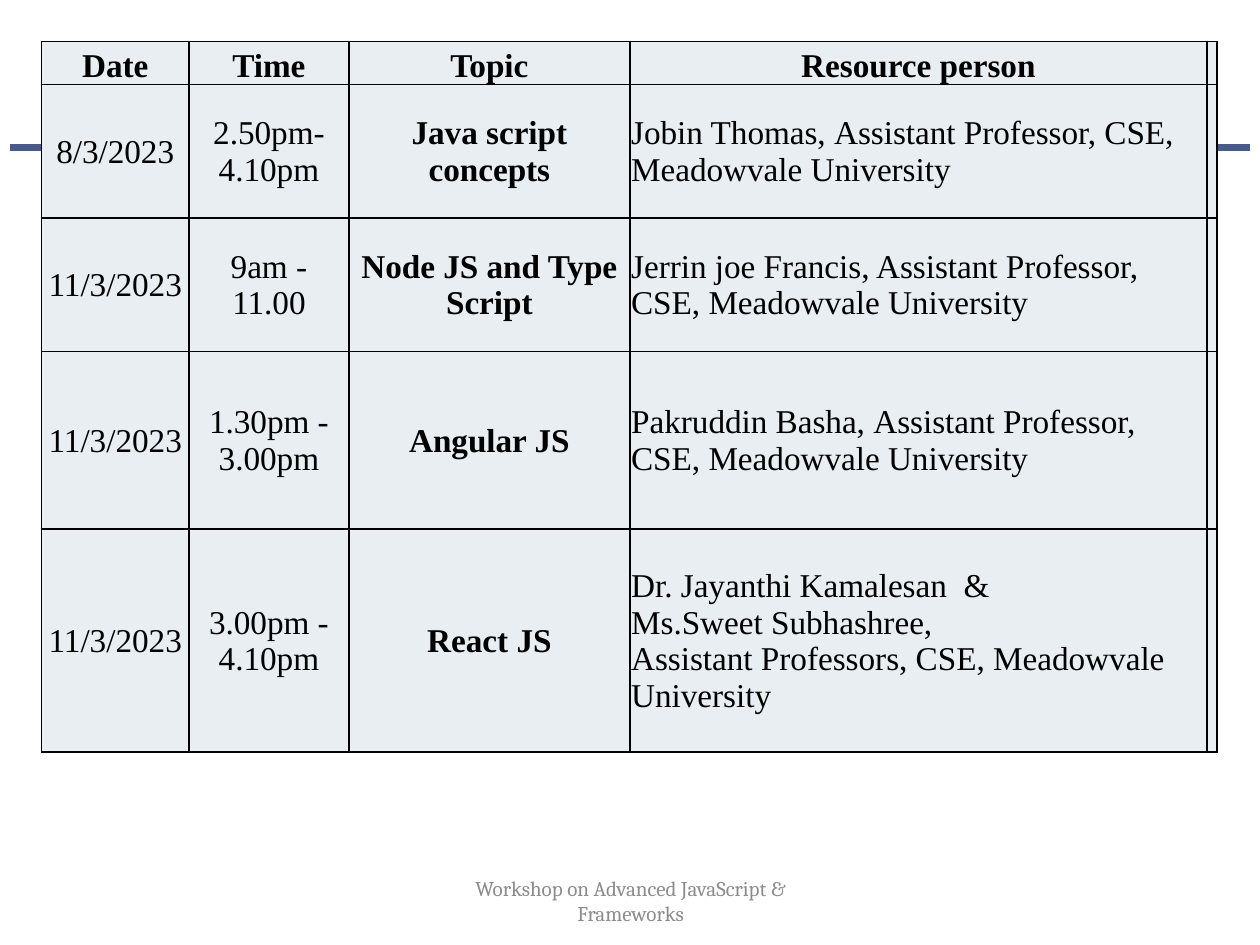
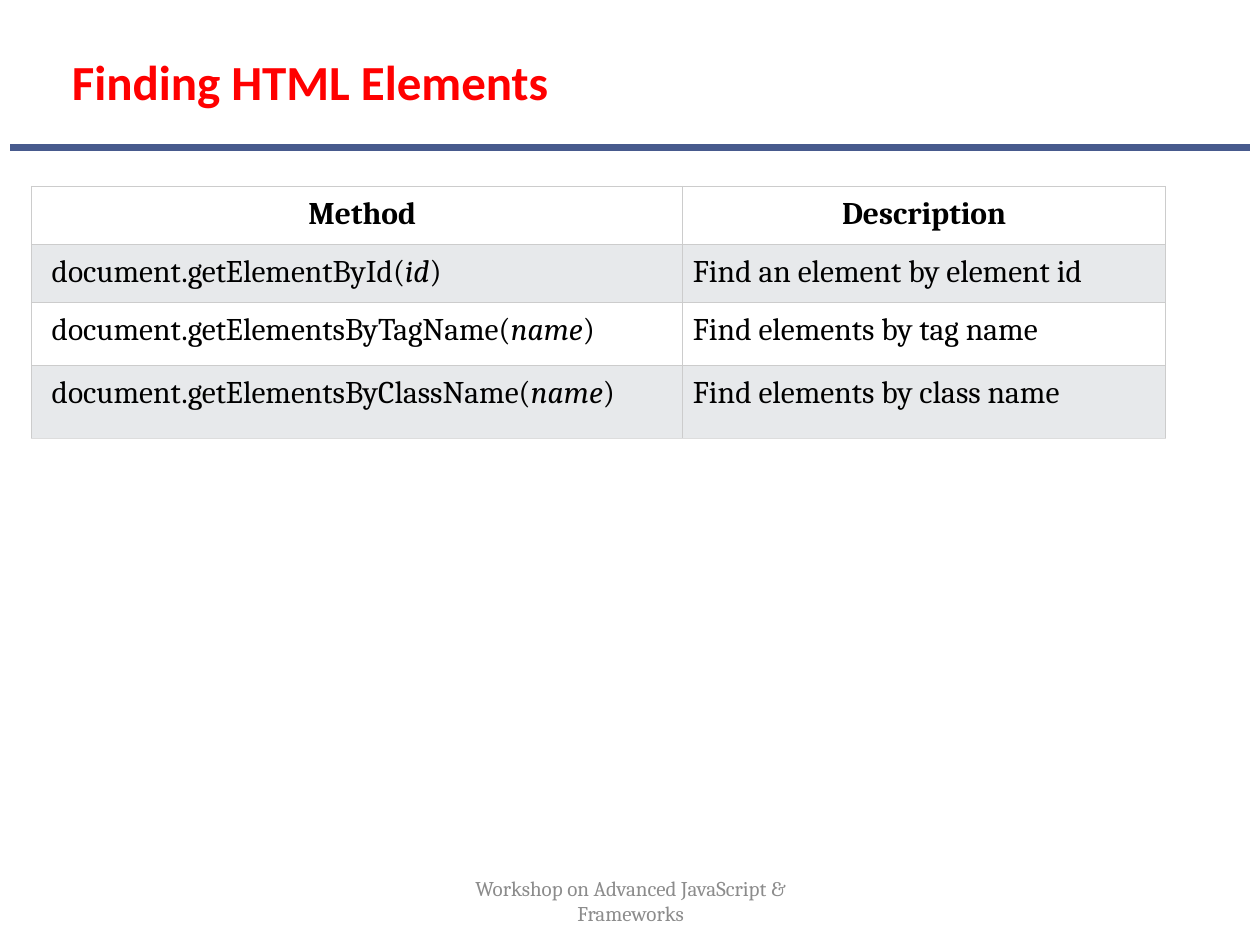
from dataclasses import dataclass

from lxml.etree import SubElement
from pptx import Presentation
from pptx.dml.color import RGBColor as Rgb
from pptx.enum.text import MSO_ANCHOR as Anchor, MSO_AUTO_SIZE as Fit, PP_ALIGN as Align
from pptx.oxml.ns import qn
from pptx.util import Inches, Pt

COLORS = {
    "ink": "000000", "rule": "475A8D", "title": "FF0000", "foot": "8C8C8C",
    "ice": "E8EEF1", "white": "FFFFFF", "band": "E7E9EB",
    "edge": "CCCCCC", "base": "DDDDDD",
}
FOOTER = "Workshop on Advanced JavaScript & Frameworks"
SCHOOL = "Meadowvale University"
STAFF = f"Assistant Professor, CSE, {SCHOOL}"


@dataclass
class Grid:
    """Place, sizes and look shared by all cells of one table."""
    left: float
    top: float
    cols: list[float]
    rows: list[float]
    font: str
    size: float
    fills: list[str]  # repeated down the rows
    edge: str
    base: str  # bottom edge of the last row
    width: float


def color(name: str) -> Rgb:
    return Rgb.from_string(COLORS[name])


def write(frame, text: str, *, font: str, size: float, ink: str = "ink",
          bold: bool = False, align=Align.LEFT) -> None:
    """Fill a frame; newlines split paragraphs and *stars* mark italics."""
    frame.word_wrap = True
    for i, line in enumerate(text.split("\n")):
        para = frame.paragraphs[0] if i == 0 else frame.add_paragraph()
        para.alignment = align
        for j, part in enumerate(line.split("*")):
            if not part:
                continue
            run = para.add_run()
            run.text = part
            face = run.font
            face.name, face.size, face.bold = font, Pt(size), bold
            face.italic = j % 2 == 1
            face.color.rgb = color(ink)


def border(cell, edge: str, base: str, width: float) -> None:
    props = cell._tc.get_or_add_tcPr()
    for side in "LRTB":
        line = SubElement(props, qn(f"a:ln{side}"), w=str(Pt(width)))
        fill = SubElement(line, qn("a:solidFill"))
        SubElement(fill, qn("a:srgbClr"), val=COLORS[base if side == "B" else edge])


def add_grid(slide, grid: Grid):
    """Draw the empty table and return it for its text."""
    table = slide.shapes.add_table(
        len(grid.rows), len(grid.cols), Inches(grid.left), Inches(grid.top),
        Inches(sum(grid.cols)), Inches(sum(grid.rows))).table
    table.first_row = table.horz_banding = False
    for col, width in zip(table.columns, grid.cols):
        col.width = Inches(width)
    for r, (row, height) in enumerate(zip(table.rows, grid.rows)):
        row.height = Inches(height)
        last = r == len(grid.rows) - 1
        for cell in row.cells:
            border(cell, grid.edge, grid.base if last else grid.edge, grid.width)
            cell.fill.solid()
            cell.fill.fore_color.rgb = color(grid.fills[r % len(grid.fills)])
    return table


def inset(cell, left: float, top: float, right: float, bottom: float) -> None:
    cell.margin_left, cell.margin_top = Inches(left), Inches(top)
    cell.margin_right, cell.margin_bottom = Inches(right), Inches(bottom)


def add_page(deck, layout: int):
    """New slide with the shared rule."""
    slide = deck.slides.add_slide(deck.slide_layouts[layout])
    rule = slide.shapes.add_connector(
        1, Inches(0.08), Inches(1.17), Inches(9.92), Inches(1.17))
    rule.line.color.rgb = color("rule")
    rule.line.width = Pt(4)
    SubElement(rule._element.spPr, qn("a:effectLst"))
    return slide


def add_foot(slide) -> None:
    box = slide.shapes.add_textbox(
        Inches(3.42), Inches(6.95), Inches(3.17), Inches(0.4))
    box.text_frame.vertical_anchor = Anchor.MIDDLE
    write(box.text_frame, FOOTER, font="Cambria", size=12, ink="foot",
          align=Align.CENTER)


def add_title(slide, text: str) -> None:
    title = slide.shapes.title
    title.left, title.top = Inches(0.47), Inches(0.15)
    title.width, title.height = Inches(9), Inches(0.78)
    frame = title.text_frame
    frame.auto_size = Fit.NONE
    frame.vertical_anchor = Anchor.BOTTOM
    write(frame, text, font="Calibri", size=28, ink="title", bold=True)


# Workshop schedule; the narrow last column is empty
PLAN = [
    ("Date", "Time", "Topic", "Resource person", ""),
    ("8/3/2023", "2.50pm- 4.10pm", "Java script concepts",
     f"Jobin Thomas,\u00a0{STAFF}", ""),
    ("11/3/2023", "9am - 11.00", "Node JS and Type Script",
     f"Jerrin joe Francis, {STAFF}", ""),
    ("11/3/2023", "1.30pm - 3.00pm", "Angular JS",
     f"Pakruddin Basha,\u00a0{STAFF}", ""),
    ("11/3/2023", "3.00pm - 4.10pm", "React JS",
     "Dr. Jayanthi Kamalesan \u00a0&\nMs.Sweet Subhashree,\n"
     f"Assistant Professors, CSE, {SCHOOL}", ""),
]
PLAN_GRID = Grid(0.33, 0.33, [1.17, 1.27, 2.23, 4.58, 0.08],
                 [0.34, 1.06, 1.06, 1.41, 1.77], "Times New Roman", 19,
                 ["ice"], "ink", "ink", 1)

# Lookup methods
FIND = [
    ("Method", "Description"),
    ("document.getElementById(*id*)", "Find an element by element id"),
    ("document.getElementsByTagName(*name*)", "Find elements by tag name"),
    ("document.getElementsByClassName(*name*)", "Find elements by class name"),
]
FIND_GRID = Grid(0.25, 1.48, [5.17, 3.83], [0.46, 0.46, 0.5, 0.58],
                 "Cambria", 18, ["white", "band"], "edge", "base", 0.75)


def add_plan(deck) -> None:
    slide = add_page(deck, 6)
    table = add_grid(slide, PLAN_GRID)
    for r, row in enumerate(PLAN):
        for c, text in enumerate(row):
            cell = table.cell(r, c)
            inset(cell, 0.01, 0.01, 0.01, 0)
            cell.vertical_anchor = Anchor.MIDDLE if r else Anchor.BOTTOM
            write(cell.text_frame, text, font=PLAN_GRID.font, size=PLAN_GRID.size,
                  bold=r == 0 or c == 2,
                  align=Align.LEFT if r and c == 3 else Align.CENTER)
    add_foot(slide)


def add_find(deck) -> None:
    slide = add_page(deck, 5)
    add_title(slide, "Finding HTML Elements")
    table = add_grid(slide, FIND_GRID)
    for r, row in enumerate(FIND):
        for c, text in enumerate(row):
            cell = table.cell(r, c)
            inset(cell, 0.08 if c else 0.16, 0.08, 0.08, 0.08)
            write(cell.text_frame, text, font=FIND_GRID.font, size=FIND_GRID.size,
                  bold=r == 0, align=Align.LEFT if r else Align.CENTER)
    add_foot(slide)


deck = Presentation()
deck.slide_width, deck.slide_height = Inches(10), Inches(7.5)
add_plan(deck)
add_find(deck)
deck.save("out.pptx")
